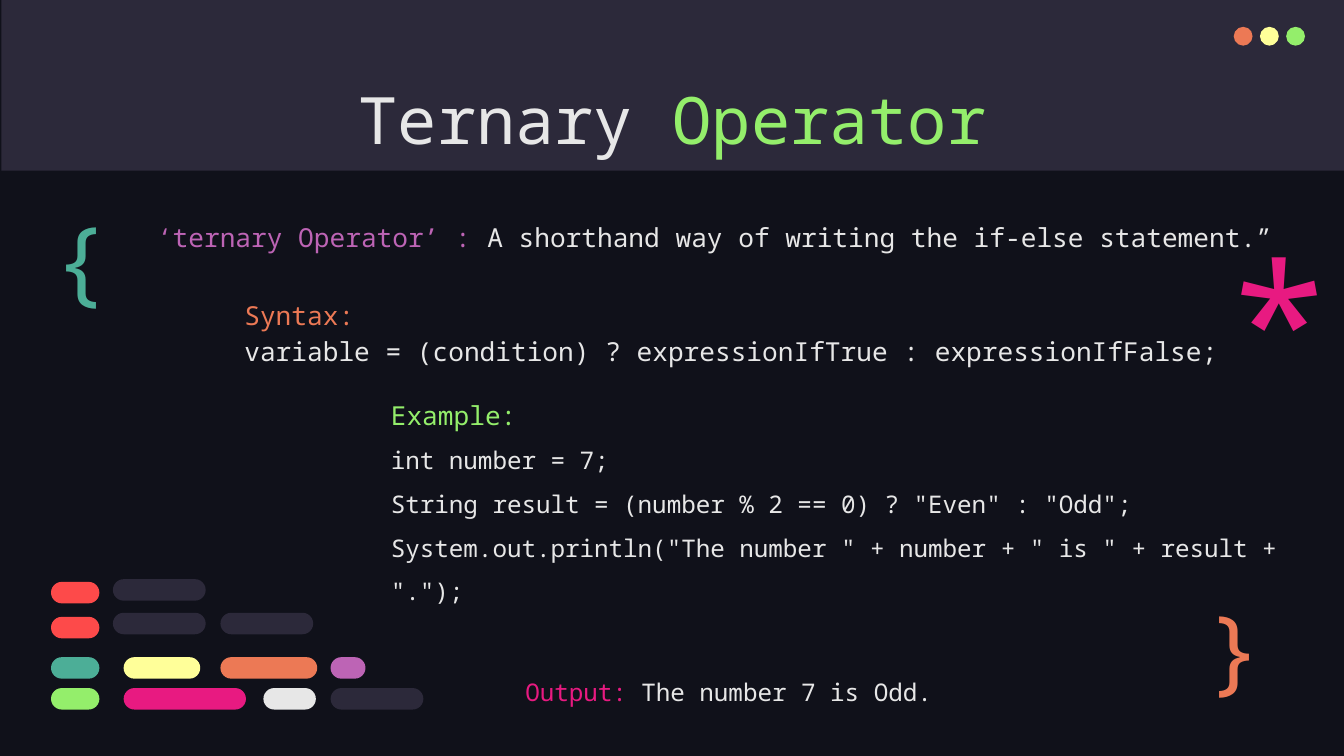
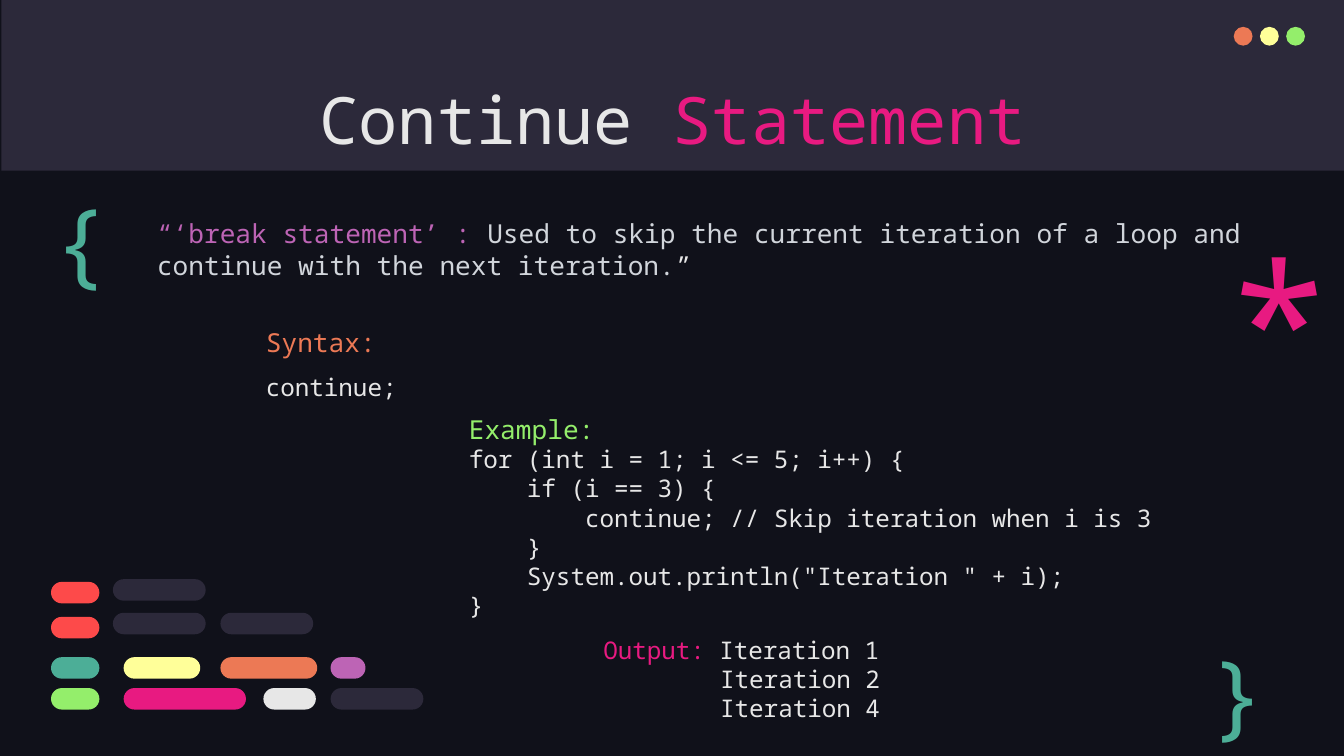
from pptx import Presentation
from pptx import util as u
from pptx.dml import color
from pptx.enum import shapes, text

FONT = "Noto Sans Mono"
HUES = {
    "night": "10111A", "slate": "2C293A", "white": "E7E7E7", "mist": "D1D5DB",
    "coral": "EC7955", "lemon": "FFFF99", "lime": "94EE6B", "pink": "E81A81",
    "red": "FD4A4A", "teal": "4CAE97", "plum": "BD64B5",
}
WIDE = 10
HIGH = WIDE * 9 / 16
HEAD, CODE = 14, 13
TAB, HANG = 1, 0.87
PILL = 0.16
PILLS = [
    (0, [(0.46, 0.69, "slate")]),
    (0.02, [(0, 0.36, "red")]),
    (0.25, [(0.46, 0.69, "slate"), (1.26, 0.69, "slate")]),
    (0.28, [(0, 0.36, "red")]),
    (0.58, [(0, 0.36, "teal"), (0.54, 0.57, "lemon"),
            (1.26, 0.72, "coral"), (2.08, 0.26, "plum")]),
    (0.81, [(0, 0.36, "lime"), (0.54, 0.91, "pink"),
            (1.58, 0.39, "white"), (2.08, 0.69, "slate")]),
]


def rgb(hue):
    return color.RGBColor.from_string(HUES[hue])


def block(home, kind, box, hue):
    shape = home.add_shape(kind, *map(u.Inches, box))
    shape.shadow.inherit = False
    shape.fill.solid()
    shape.fill.fore_color.rgb = rgb(hue)
    shape.line.fill.background()
    return shape


def line(*runs, lead=1.0, gap=0, left=0, hang=0):
    return runs, lead, gap, left, hang


def write(slide, box, lines, pad=0.1, grow=False, mid=False):
    frame = slide.shapes.add_textbox(*map(u.Inches, box)).text_frame
    frame.word_wrap = True
    frame.margin_left = frame.margin_right = u.Inches(0.1)
    frame.margin_top = frame.margin_bottom = u.Inches(pad)
    fit = text.MSO_AUTO_SIZE
    frame.auto_size = fit.SHAPE_TO_FIT_TEXT if grow else fit.NONE
    frame.vertical_anchor = text.MSO_ANCHOR.MIDDLE if mid else text.MSO_ANCHOR.TOP
    for num, (runs, lead, gap, left, hang) in enumerate(lines):
        para = frame.add_paragraph() if num else frame.paragraphs[0]
        para.line_spacing = lead
        if gap:
            para.space_before = u.Pt(gap)
        if left:
            props = para._p.get_or_add_pPr()
            props.set("marL", str(u.Inches(left)))
            props.set("indent", str(u.Inches(-hang)))
        for words, hue, size in runs:
            run = para.add_run()
            run.text = words
            run.font.name = FONT
            run.font.size = u.Pt(size)
            run.font.color.rgb = rgb(hue)
    return frame


def banner(slide, box, first, last, hue):
    x, y, wide, high = box
    block(slide.shapes, shapes.MSO_SHAPE.RECTANGLE, box, "slate")
    dots = slide.shapes.add_group_shape().shapes
    for num, tint in enumerate(("coral", "lemon", "lime")):
        spot = (x + 9.17 + num * 0.195, y + 0.2, 0.14, 0.14)
        block(dots, shapes.MSO_SHAPE.OVAL, spot, tint)
    frame = write(slide, (x + 0.78, y + 0.49, wide - 1.57, high - 0.64),
                  [line((first, "white", 35), (last, hue, 35))])
    frame.paragraphs[0].alignment = text.PP_ALIGN.CENTER


def pills(slide, x, y):
    home = slide.shapes.add_group_shape().shapes
    for down, row in PILLS:
        for over, wide, hue in row:
            pill = block(home, shapes.MSO_SHAPE.ROUNDED_RECTANGLE,
                         (x + over, y + down, wide, PILL), hue)
            pill.adjustments[0] = 0.5


def marks(slide, top, end, hue):
    write(slide, (9.02, 1.48, 0.57, 0.87), [line(("*", "pink", 96))])
    write(slide, (0.3, top, 0.77, 0.95), [line(("{", "teal", 50))])
    write(slide, (*end, 0.57, 0.83), [line(("}", hue, 50))], mid=True)


def intro(slide, box, *runs):
    write(slide, box, [line(*((*run, HEAD) for run in runs))], 0.05, True)


def syntax(slide, box, code, size, lead):
    write(slide, box, [line(("Syntax:", "coral", HEAD), lead=lead),
                       line((code, "white", size), lead=lead)])


def sample(slide, box, code, lead, out, gap, last):
    lines = [line(("Example:", "lime", HEAD), lead=1.15)]
    lines += [line((row, "white", CODE), lead=lead) for row in code]
    lines.append(line(("Output: ", "pink", CODE), (out[0], "white", CODE),
                      lead=last, gap=gap, left=TAB + HANG, hang=HANG))
    lines += [line((row, "white", CODE), lead=last, left=TAB + HANG)
              for row in out[1:]]
    write(slide, box, lines, 0.05, True)


def base(deck, first, last, hue):
    slide = deck.slides.add_slide(deck.slide_layouts[6])
    slide.background.fill.solid()
    slide.background.fill.fore_color.rgb = rgb("night")
    banner(slide, (0.01, 0, WIDE, 1.27), first, last, hue)
    pills(slide, 0.38, 4.31)
    return slide


def ternary(deck):
    slide = base(deck, "Ternary ", "Operator", "lime")
    marks(slide, 1.4, (8.88, 4.39), "coral")
    intro(slide, (1.07, 1.6, 8.72, 0.34),
          ("‘ternary Operator’ : ", "plum"),
          ("A shorthand way of writing the if-else statement.”", "white"))
    syntax(slide, (1.72, 2.09, 8.14, 0.86),
           "variable = (condition) ? expressionIfTrue : expressionIfFalse;",
           HEAD, 1.15)
    code = [
        'int number = 7;',
        'String result = (number % 2 == 0) ? "Even" : "Odd";',
        'System.out.println("The number " + number + " is " + result + ".");',
    ]
    sample(slide, (2.81, 2.89, 7.05, 2.1), code, 1.5,
           ["The number 7 is Odd."], 36, 1.15)


def skip(deck):
    slide = base(deck, "Continue ", "Statement", "pink")
    marks(slide, 1.26, (8.9, 4.73), "teal")
    intro(slide, (1.07, 1.57, 8.72, 0.57),
          ("“‘break statement’ : ", "plum"),
          ("Used to skip the current iteration of a loop and "
           "continue with the next iteration.", "mist"),
          ("”", "white"))
    syntax(slide, (1.88, 2.21, 1.32, 0.85), "continue;", CODE, 1.5)
    code = [
        'for (int i = 1; i <= 5; i++) {',
        '    if (i == 3) {',
        '        continue; // Skip iteration when i is 3',
        '    }',
        '    System.out.println("Iteration " + i);',
        '}',
    ]
    sample(slide, (3.39, 2.99, 5.68, 2.46), code, 1.0,
           [f"Iteration {num}" for num in (1, 2, 4)], 8.5, 1.0)


def main():
    deck = Presentation()
    deck.slide_width = u.Inches(WIDE)
    deck.slide_height = u.Inches(HIGH)
    ternary(deck)
    skip(deck)
    deck.save("out.pptx")


if __name__ == "__main__":
    main()
